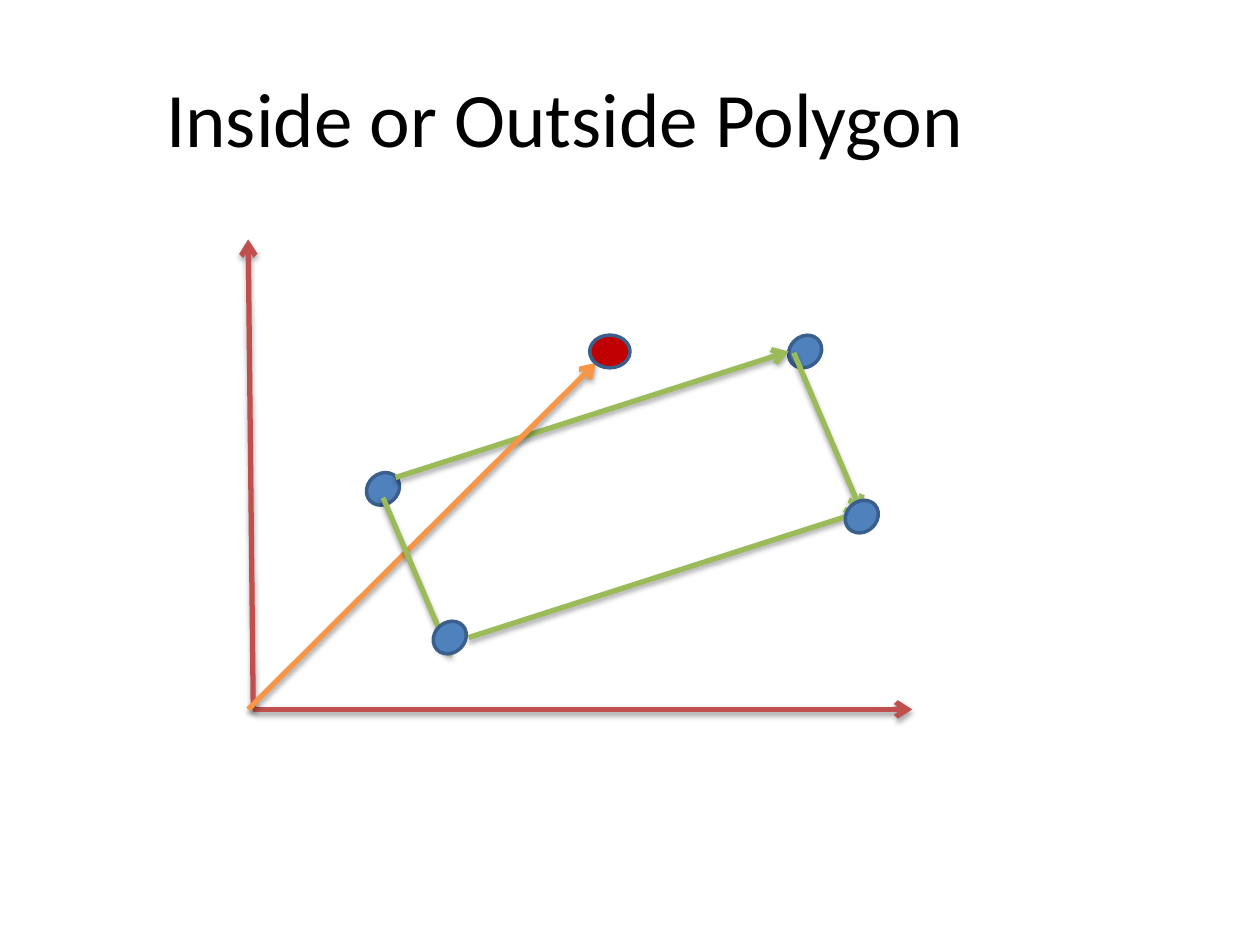
from dataclasses import dataclass

from lxml.etree import SubElement
from pptx import Presentation
from pptx.dml.color import RGBColor
from pptx.enum.shapes import MSO_CONNECTOR as Connector, MSO_SHAPE as Shape
from pptx.enum.text import MSO_ANCHOR as Anchor, PP_ALIGN as Align
from pptx.oxml.ns import qn
from pptx.util import Pt


@dataclass(frozen=True)
class Theme:
    font: str = "Calibri"
    title_size: float = 44
    text: str = "000000"
    vertex: str = "4F81BD"
    outline: str = "3A5F8C"
    test_point: str = "C00000"
    axis: str = "C0504D"
    edge: str = "9BBB59"
    ray: str = "F79646"
    shadow: str = "000000"
    outline_width: float = 2
    arrow_width: float = 3


THEME = Theme()
VERTEX_SIZE = (20.16, 17.28)
VERTEX_TILT = 317.8
LONG_EDGE = (224.64, -72)
SHORT_EDGE = (38.88, 91.08)


def color(code):
    return RGBColor.from_string(code)


def add_title(page, text):
    title = page.shapes.title
    title.left, title.top, title.width, title.height = Pt(36), Pt(21.6), Pt(573.84), Pt(90)
    frame = title.text_frame
    frame.text = text
    frame.vertical_anchor = Anchor.MIDDLE
    para = frame.paragraphs[0]
    para.alignment = Align.CENTER
    para.font.name = THEME.font
    para.font.size = Pt(THEME.title_size)
    para.font.color.rgb = color(THEME.text)


def add_dot(page, left, top, size, fill, tilt=0):
    dot = page.shapes.add_shape(Shape.OVAL, Pt(left), Pt(top), *map(Pt, size))
    dot.shadow.inherit = False
    dot.rotation = tilt
    dot.fill.solid()
    dot.fill.fore_color.rgb = color(fill)
    dot.line.color.rgb = color(THEME.outline)
    dot.line.width = Pt(THEME.outline_width)


def add_vertices(page, corners):
    for left, top in corners:
        add_dot(page, left, top, VERTEX_SIZE, THEME.vertex, VERTEX_TILT)


def add_shadow(arrow):
    effects = SubElement(arrow._element.spPr, qn("a:effectLst"))
    shadow = SubElement(effects, qn("a:outerShdw"), blurRad=str(Pt(3.1)),
                        dist=str(Pt(1.8)), dir="5400000", rotWithShape="0")
    tone = SubElement(shadow, qn("a:srgbClr"), val=THEME.shadow)
    SubElement(tone, qn("a:alpha"), val="35000")


def add_arrow(page, start, vector, tone):
    end = [origin + step for origin, step in zip(start, vector)]
    arrow = page.shapes.add_connector(Connector.STRAIGHT, *map(Pt, (*start, *end)))
    arrow.line.color.rgb = color(tone)
    arrow.line.width = Pt(THEME.arrow_width)
    SubElement(arrow.line._get_or_add_ln(), qn("a:tailEnd"), type="arrow")
    add_shadow(arrow)


def main():
    deck = Presentation()
    deck.slide_width, deck.slide_height = Pt(720), Pt(540)
    page = deck.slides.add_slide(deck.slide_layouts[5])
    add_title(page, "Inside or Outside Polygon")

    add_vertices(page, [(208.8, 270.72), (450, 192.24)])
    for start, vector, tone in [
        ((144.72, 405.36), (-2.88, -268.56), THEME.axis),
        ((144.72, 405.36), (376.56, 0), THEME.axis),
        ((226.08, 272.88), LONG_EDGE, THEME.edge),
        ((141.84, 405.36), (198.72, -198), THEME.ray),
        ((218.88, 284.4), SHORT_EDGE, THEME.edge),
        ((453.6, 201.6), SHORT_EDGE, THEME.edge),
        ((267.84, 364.32), LONG_EDGE, THEME.edge),
    ]:
        add_arrow(page, start, vector, tone)
    add_vertices(page, [(246.96, 355.68), (482.4, 286.56)])
    add_dot(page, 336.96, 191.52, (23.04, 18.72), THEME.test_point)

    deck.save("out.pptx")


if __name__ == "__main__":
    main()
